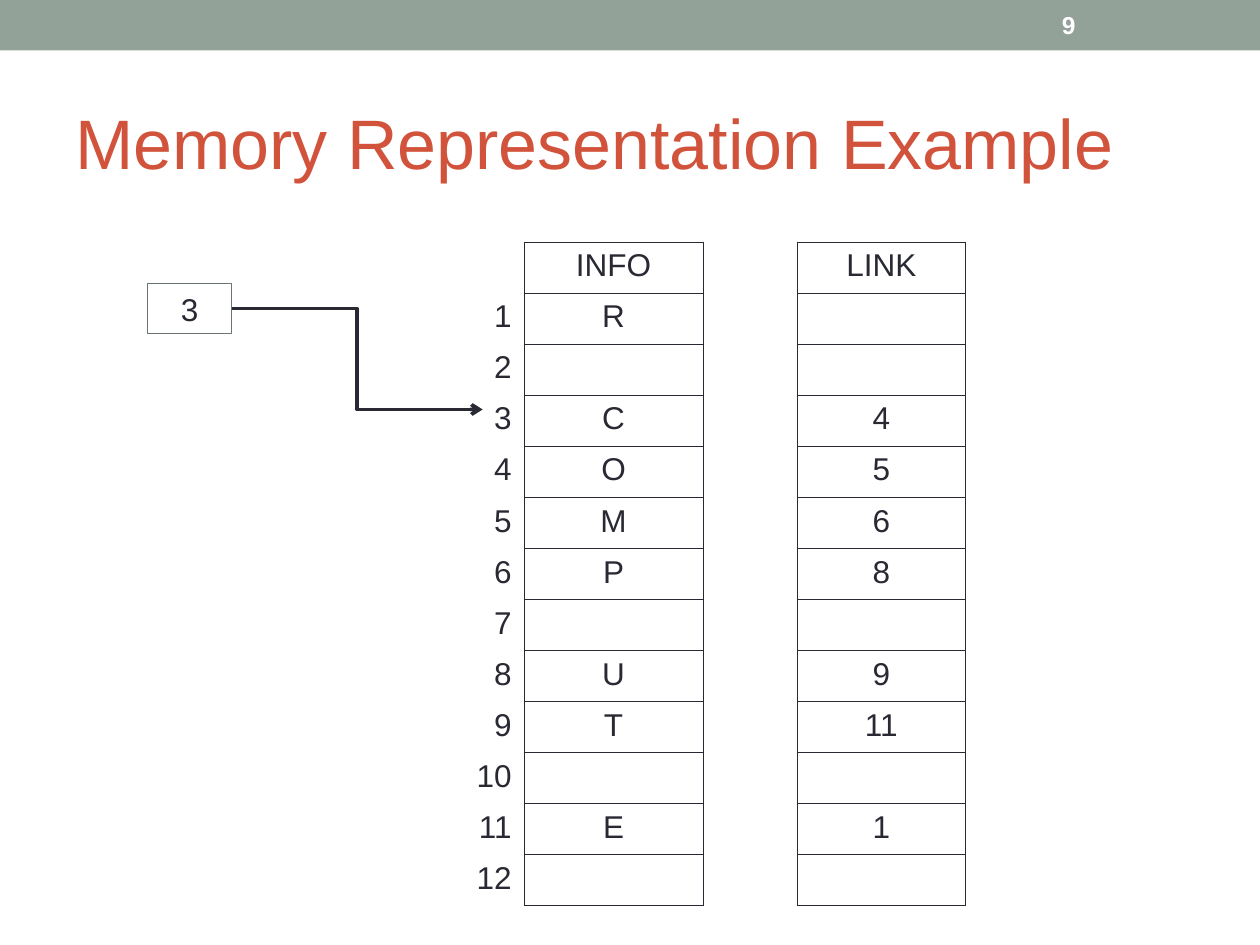
from dataclasses import dataclass
from typing import NamedTuple

from lxml.etree import SubElement
from pptx import Presentation
from pptx.dml.color import RGBColor as Color
from pptx.enum.shapes import MSO_CONNECTOR as Connector, MSO_SHAPE as Shape
from pptx.enum.text import MSO_ANCHOR as Anchor, PP_ALIGN as Align
from pptx.oxml.ns import qn
from pptx.util import Inches, Pt


@dataclass(frozen=True)
class Theme:
    font: str = "Arial"
    band: Color = Color.from_string("93A299")
    title: Color = Color.from_string("D2533C")
    ink: Color = Color.from_string("292934")
    frame: Color = Color.from_string("6B766F")
    paper: Color = Color.from_string("FFFFFF")
    title_size: int = 40
    body_size: int = 18
    number_size: int = 14
    cell_line: float = 0.45
    frame_line: float = 0.75
    arrow_line: float = 2.07


class Area(NamedTuple):
    left: float
    top: float
    width: float
    height: float

    def lengths(self) -> list:
        return [Inches(value) for value in self]


class Node(NamedTuple):
    info: str = ""
    link: str = ""


THEME = Theme()
BAND = Area(0, 0, 10, 0.4)
TITLE = Area(0.5, 0.58, 9, 1.08)
PAGE_NUMBER = Area(8.33, 0.02, 1.17, 0.36)
START = Area(1.17, 2.25, 0.67, 0.4)
MEMORY = Area(2.83, 1.92, 4.83, 5.27)
COLUMN_WIDTHS = (1.33, 1.42, 0.75, 1.33)
FRAMED_COLUMNS = (1, 3)
ARROW_END = (3.83, 3.25)
NODES = (
    Node("R"), Node(), Node("C", "4"), Node("O", "5"), Node("M", "6"),
    Node("P", "8"), Node(), Node("U", "9"), Node("T", "11"), Node(),
    Node("E", "1"), Node(),
)


def write(frame, text: str, size: float, color: Color,
          align: Align = Align.LEFT, bold: bool = False) -> None:
    para = frame.paragraphs[0]
    para.alignment = align
    formats = {"name": THEME.font, "size": Pt(size), "bold": bold}
    fonts = [para.font]
    if text:
        span = para.add_run()
        span.text = text
        span.font.color.rgb = color
        fonts.append(span.font)
    for font in fonts:
        for name, value in formats.items():
            setattr(font, name, value)


def add_label(page, area: Area, text: str, size: float, color: Color,
              bold: bool = False) -> None:
    frame = page.shapes.add_textbox(*area.lengths()).text_frame
    for name, value in {"word_wrap": True, "vertical_anchor": Anchor.MIDDLE}.items():
        setattr(frame, name, value)
    write(frame, text, size, color, bold=bold)


def add_band(page) -> None:
    band = page.shapes.add_shape(Shape.RECTANGLE, *BAND.lengths())
    band.shadow.inherit = False
    band.fill.solid()
    band.fill.fore_color.rgb = THEME.band
    band.line.fill.background()


def set_borders(cell, sides: str) -> None:
    properties = cell._tc.get_or_add_tcPr()
    for side in "LRTB":
        line = SubElement(properties, qn(f"a:ln{side}"), w=str(Pt(THEME.cell_line)))
        if side in sides:
            fill = SubElement(line, qn("a:solidFill"))
            SubElement(fill, qn("a:srgbClr"), val=str(THEME.ink))
        else:
            SubElement(line, qn("a:noFill"))


def add_memory_table(page) -> None:
    rows = [("", "INFO", "", "LINK")]
    rows += [(str(address), node.info, "", node.link)
             for address, node in enumerate(NODES, 1)]
    table = page.shapes.add_table(
        len(rows), len(COLUMN_WIDTHS), *MEMORY.lengths()).table
    for name in ("first_row", "horz_banding"):
        setattr(table, name, False)
    for column, width in zip(table.columns, COLUMN_WIDTHS):
        column.width = Inches(width)
    for row_index, texts in enumerate(rows):
        table.rows[row_index].height = Inches(MEMORY.height / len(rows))
        for column_index, text in enumerate(texts):
            cell = table.cell(row_index, column_index)
            sides = {0: "R", 2: "LR"}.get(column_index, "LRTB")
            set_borders(cell, sides)
            cell.fill.background()
            align = Align.CENTER if column_index in FRAMED_COLUMNS else Align.RIGHT
            write(cell.text_frame, text, THEME.body_size, THEME.ink, align)


def add_start_box(page):
    box = page.shapes.add_shape(Shape.RECTANGLE, *START.lengths())
    box.shadow.inherit = False
    box.fill.background()
    box.line.color.rgb = THEME.frame
    box.line.width = Pt(THEME.frame_line)
    box.text_frame.vertical_anchor = Anchor.TOP
    write(box.text_frame, "3", THEME.body_size, THEME.ink, Align.CENTER)
    return box


def add_start_arrow(page, box) -> None:
    arrow = page.shapes.add_connector(
        Connector.ELBOW, box.left + box.width, box.top + box.height // 2,
        *(Inches(value) for value in ARROW_END))
    arrow.line.color.rgb = THEME.ink
    arrow.line.width = Pt(THEME.arrow_line)
    SubElement(arrow.line._get_or_add_ln(), qn("a:tailEnd"), type="arrow")
    SubElement(arrow._element.spPr, qn("a:effectLst"))


def main() -> None:
    deck = Presentation()
    deck.slide_width, deck.slide_height = Inches(10), Inches(7.5)
    page = deck.slides.add_slide(deck.slide_layouts[6])
    add_band(page)
    add_label(page, TITLE, "Memory Representation Example",
              THEME.title_size, THEME.title)
    add_memory_table(page)
    add_start_arrow(page, add_start_box(page))
    add_label(page, PAGE_NUMBER, "9", THEME.number_size, THEME.paper, bold=True)
    deck.save("out.pptx")


if __name__ == "__main__":
    main()
